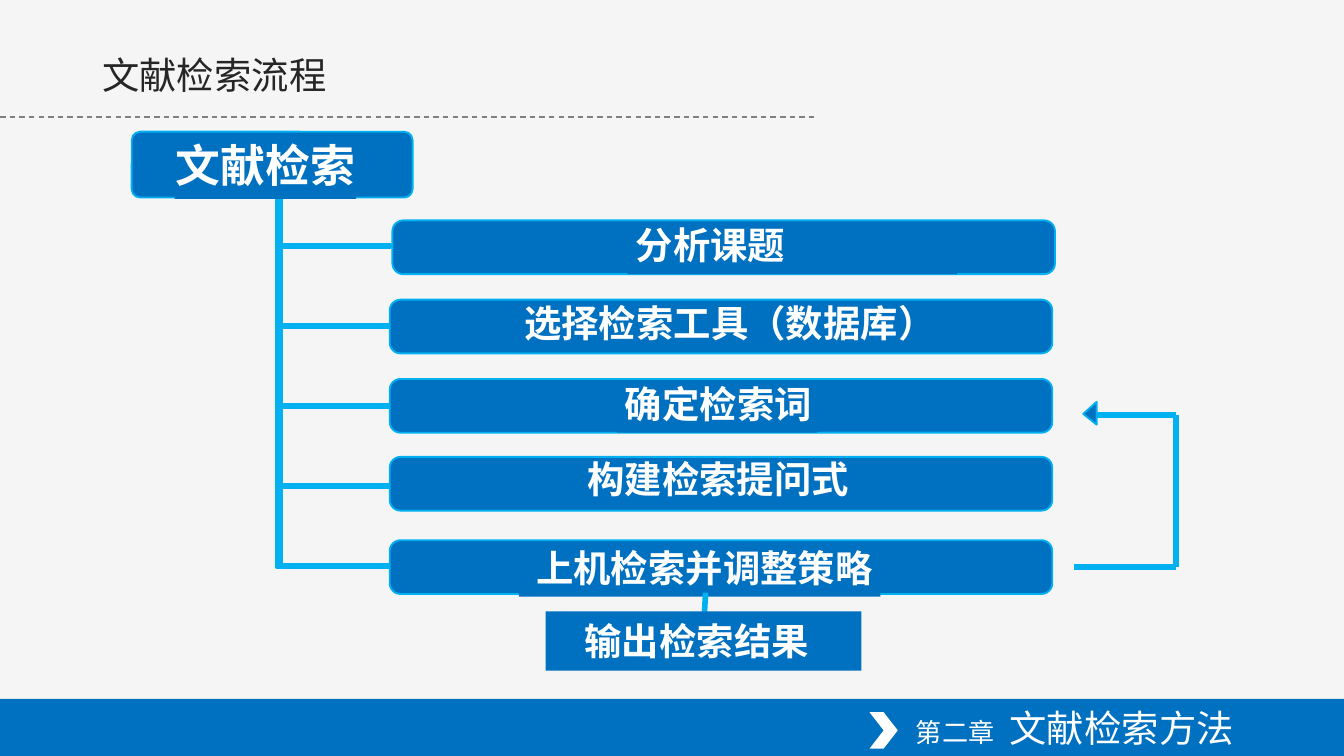
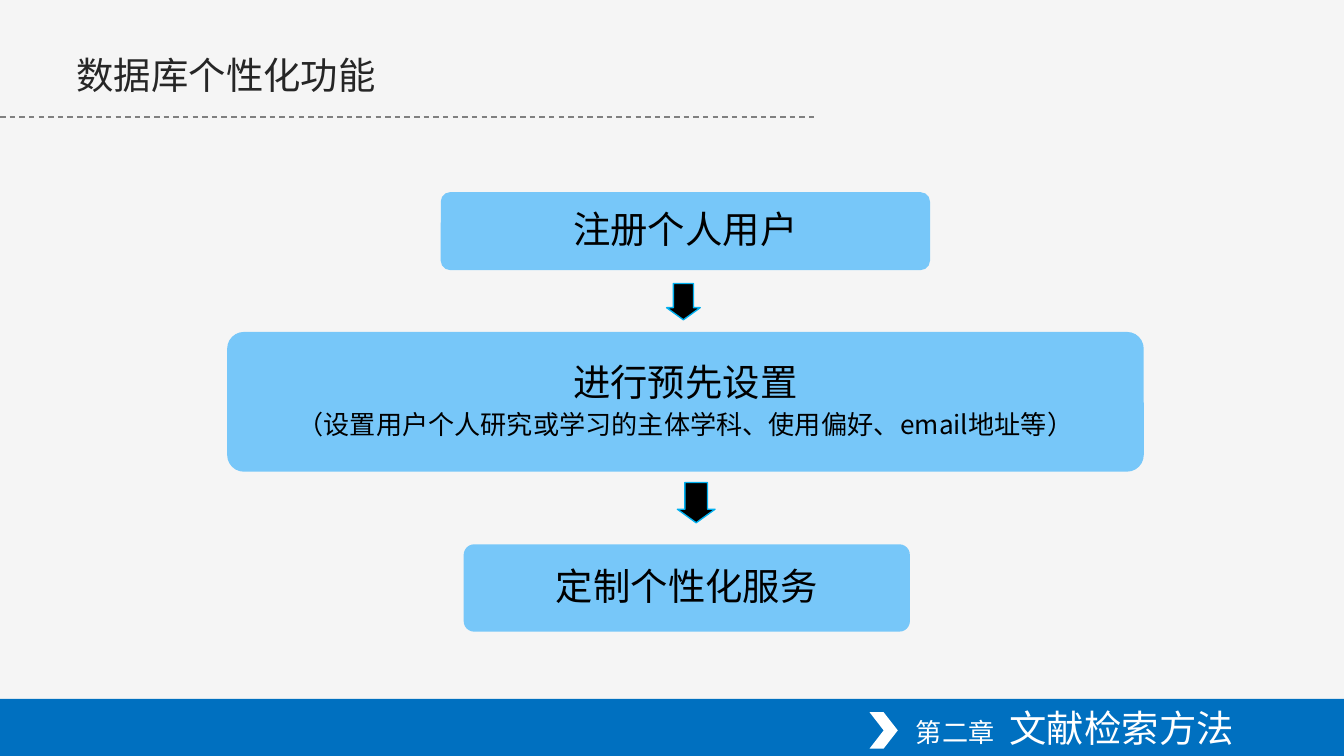
import pptx
import pptx.util
import pptx.dml.color
import pptx.enum.dml
import pptx.enum.shapes
import pptx.enum.text
import lxml.etree
from pptx.util import Inches

RGBColor = pptx.dml.color.RGBColor
SHAPE = pptx.enum.shapes.MSO_SHAPE
ALIGN = pptx.enum.text.PP_ALIGN
ANCHOR = pptx.enum.text.MSO_ANCHOR
NAMESPACE = "{http://schemas.openxmlformats.org/drawingml/2006/main}"

FONT = "Noto Sans CJK SC"
PAPER = RGBColor(0xF5, 0xF5, 0xF5)
BLUE = RGBColor(0x00, 0x70, 0xC0)
CYAN = RGBColor(0x00, 0xB0, 0xF0)
SKY = RGBColor(0x77, 0xC7, 0xF9)
GRAY = RGBColor(0x80, 0x80, 0x80)
DARK = RGBColor(0x26, 0x26, 0x26)
BLACK = RGBColor(0, 0, 0)
WHITE = RGBColor(0xFF, 0xFF, 0xFF)

# Content: boxes are (left, top, width, height) in inches
FOOTER = [("第二章", 14), (" ", 16), (" 文献检索方法", 20)]

PROCESS_TITLE = ("文献检索流程", 0.66, 2.05)
ROOT = ("文献检索", (0.98, 0.98, 2.09, 0.49), (1.3, 1.15, 1.35, 0.33))
# Step: text, bar left and top, label left, top and width, text indent
STEPS = [
    ("分析课题", 2.92, 1.64, 4.67, 1.71, 2.45, 0.06),
    ("选择检索工具（数据库）", 2.9, 2.23, 3.83, 2.29, 3.93, 0.07),
    ("确定检索词", 2.9, 2.82, 4.59, 2.89, 1.49, 0.06),
    ("构建检索提问式", 2.9, 3.4, 4.37, 3.45, 1.96, 0),
    ("上机检索并调整策略", 2.9, 4.02, 3.86, 4.11, 2.69, 0.13),
]
BAR_SIZE = (4.93, 0.4)
BRANCH_TOP, FIRST_BRANCH, LAST_BRANCH = 1.44, 1.84, 4.22
FEEDBACK = [(7.99, 4.22), (8.75, 4.22), (8.75, 3.09), (8.15, 3.09)]
FEEDBACK_HEAD = [(8.16, 2.99), (8.06, 3.08), (8.16, 3.16)]
OUTPUT = ("输出检索结果", (4.06, 4.55, 2.35, 0.44))

SERVICE_TITLE = ("数据库个性化功能", 0.47, 2.46)
SERVICES = [
    ((3.28, 1.43, 3.64, 0.58), [("注册个人用户", 20)]),
    ((1.69, 2.47, 6.82, 1.04), [
        ("进行预先设置", 20),
        ("（设置用户个人研究或学习的主体学科、使用偏好、email地址等）", 14),
    ]),
    ((3.45, 4.05, 3.32, 0.65), [("定制个性化服务", 20)]),
]
SERVICE_ARROWS = [(4.96, 2.11, 0.25, 0.27), (5.04, 3.59, 0.28, 0.3)]


def set_attributes(target, values):
    for name, value in values.items():
        setattr(target, name, value)


def paint(shape, fill, line=None, width=1):
    shape.shadow.inherit = False
    shape.fill.solid()
    shape.fill.fore_color.rgb = fill
    if line is None:
        shape.line.fill.background()
    else:
        shape.line.color.rgb = line
        shape.line.width = pptx.util.Pt(width)


def add_box(slide, kind, box, fill, line=None, width=1, adjustments=()):
    shape = slide.shapes.add_shape(kind, *map(Inches, box))
    paint(shape, fill, line, width)
    for index, value in enumerate(adjustments):
        shape.adjustments[index] = value
    return shape


def add_outline(slide, points, fill, line, width):
    (start_x, start_y), *rest = [(Inches(x), Inches(y)) for x, y in points]
    builder = slide.shapes.build_freeform(start_x, start_y)
    builder.add_line_segments(rest, close=True)
    paint(builder.convert_to_shape(), fill, line, width)


def add_line(slide, start, end, color, width):
    line = slide.shapes.add_connector(
        pptx.enum.shapes.MSO_CONNECTOR.STRAIGHT, *map(Inches, start + end))
    line.line.color.rgb = color
    line.line.width = pptx.util.Pt(width)
    lxml.etree.SubElement(line._element.spPr, NAMESPACE + "effectLst")
    return line


def add_run(paragraph, text, size, color, bold=False):
    run = paragraph.add_run()
    run.text = text
    set_attributes(run.font, {"name": FONT, "size": pptx.util.Pt(size), "bold": bold})
    run.font.color.rgb = color
    properties = run._r.get_or_add_rPr()
    lxml.etree.SubElement(properties, NAMESPACE + "ea", typeface=FONT)


def set_frame(shape, margins=(0.1, 0.05, 0.1, 0.05), anchor=ANCHOR.TOP, wrap=True):
    left, top, right, bottom = map(Inches, margins)
    frame = shape.text_frame
    set_attributes(frame, {
        "margin_left": left, "margin_top": top,
        "margin_right": right, "margin_bottom": bottom,
        "vertical_anchor": anchor, "word_wrap": wrap,
        "auto_size": pptx.enum.text.MSO_AUTO_SIZE.NONE,
    })
    return frame


def add_label(slide, text, box, size=20, indent=0, align=ALIGN.LEFT, wrap=True):
    label = add_box(slide, SHAPE.RECTANGLE, box, BLUE)
    paragraph = set_frame(label, (indent, 0, 0, 0.05), wrap=wrap).paragraphs[0]
    set_attributes(paragraph, {"alignment": align, "line_spacing": pptx.util.Pt(20)})
    add_run(paragraph, text, size, WHITE, bold=True)


def start_slide(presentation, title, left, width):
    """Add a slide with background, title, rule and footer band."""
    slide = presentation.slides.add_slide(presentation.slide_layouts[5])
    slide.background.fill.solid()
    slide.background.fill.fore_color.rgb = PAPER

    # Title and dashed rule
    set_attributes(slide.shapes.title, {
        "left": Inches(left), "top": Inches(0.34),
        "width": Inches(width), "height": Inches(0.44),
    })
    paragraph = set_frame(slide.shapes.title).paragraphs[0]
    paragraph.alignment = ALIGN.LEFT
    add_run(paragraph, title, 20, DARK)
    rule = add_line(slide, (0, 0.87), (6.06, 0.87), GRAY, 0.75)
    rule.line.dash_style = pptx.enum.dml.MSO_LINE.DASH

    # Footer band
    add_box(slide, SHAPE.RECTANGLE, (0, 5.2, 10, 0.43), BLUE)
    chapter = slide.shapes.add_textbox(*map(Inches, (0.67, 5.19, 8.61, 0.44)))
    paragraph = set_frame(chapter, anchor=ANCHOR.MIDDLE).paragraphs[0]
    paragraph.alignment = ALIGN.RIGHT
    for text, size in FOOTER:
        add_run(paragraph, text, size, WHITE)
    add_box(slide, SHAPE.CHEVRON, (6.47, 5.3, 0.21, 0.27), WHITE)
    return slide


def build_process(presentation):
    slide = start_slide(presentation, *PROCESS_TITLE)

    # Branches from the root to each step
    branch_gap = (LAST_BRANCH - FIRST_BRANCH) / (len(STEPS) - 1)
    for index in range(len(STEPS)):
        bottom = FIRST_BRANCH + index * branch_gap
        add_outline(slide, [
            (2.9, bottom), (2.06, bottom), (2.06, BRANCH_TOP),
            (2.09, BRANCH_TOP), (2.09, bottom - 0.02), (2.9, bottom - 0.02),
        ], BLUE, CYAN, 2)

    # Root and step bars
    root_text, root_box, root_label = ROOT
    add_box(slide, SHAPE.ROUNDED_RECTANGLE, root_box, BLUE, CYAN, adjustments=[0.13])
    for _, left, top, *_ in STEPS:
        add_box(slide, SHAPE.ROUNDED_RECTANGLE, (left, top, *BAR_SIZE),
                BLUE, CYAN, adjustments=[0.2])

    # Feedback loop
    for start, end in zip(FEEDBACK, FEEDBACK[1:]):
        add_line(slide, start, end, CYAN, 3)
    add_outline(slide, FEEDBACK_HEAD, BLUE, CYAN, 1)

    # Labels
    add_label(slide, root_text, root_label, 24, align=ALIGN.CENTER, wrap=False)
    for text, _, _, left, top, width, indent in STEPS:
        add_label(slide, text, (left, top, width, 0.33), indent=indent)

    # Output
    add_line(slide, (5.25, 4.41), (5.24, 4.59), CYAN, 3)
    output_text, output_box = OUTPUT
    output = add_box(slide, SHAPE.RECTANGLE, output_box, BLUE)
    paragraph = set_frame(output, (0.29, 0.05, 0.1, 0.05)).paragraphs[0]
    paragraph.alignment = ALIGN.LEFT
    add_run(paragraph, output_text, 20, WHITE, bold=True)


def build_services(presentation):
    slide = start_slide(presentation, *SERVICE_TITLE)

    # Service boxes
    for box, lines in SERVICES:
        shape = add_box(slide, SHAPE.ROUNDED_RECTANGLE, box, SKY, adjustments=[0.12])
        frame = set_frame(shape, (0.12,) * 4, ANCHOR.MIDDLE)
        for index, (text, size) in enumerate(lines):
            paragraph = frame.add_paragraph() if index else frame.paragraphs[0]
            set_attributes(paragraph, {
                "alignment": ALIGN.CENTER,
                "line_spacing": pptx.util.Pt(12) if index else 0.9,
                "space_after": pptx.util.Pt(7),
            })
            add_run(paragraph, text, size, BLACK)

    # Arrows between the boxes
    for box in SERVICE_ARROWS:
        add_box(slide, SHAPE.DOWN_ARROW, box, BLACK, CYAN, 0.75, [0.6, 0.36])


def main():
    presentation = pptx.Presentation()
    # Widescreen, 16 to 9
    presentation.slide_width = Inches(10)
    presentation.slide_height = Inches(10 * 9 / 16)
    build_process(presentation)
    build_services(presentation)
    presentation.save("out.pptx")


if __name__ == "__main__":
    main()
